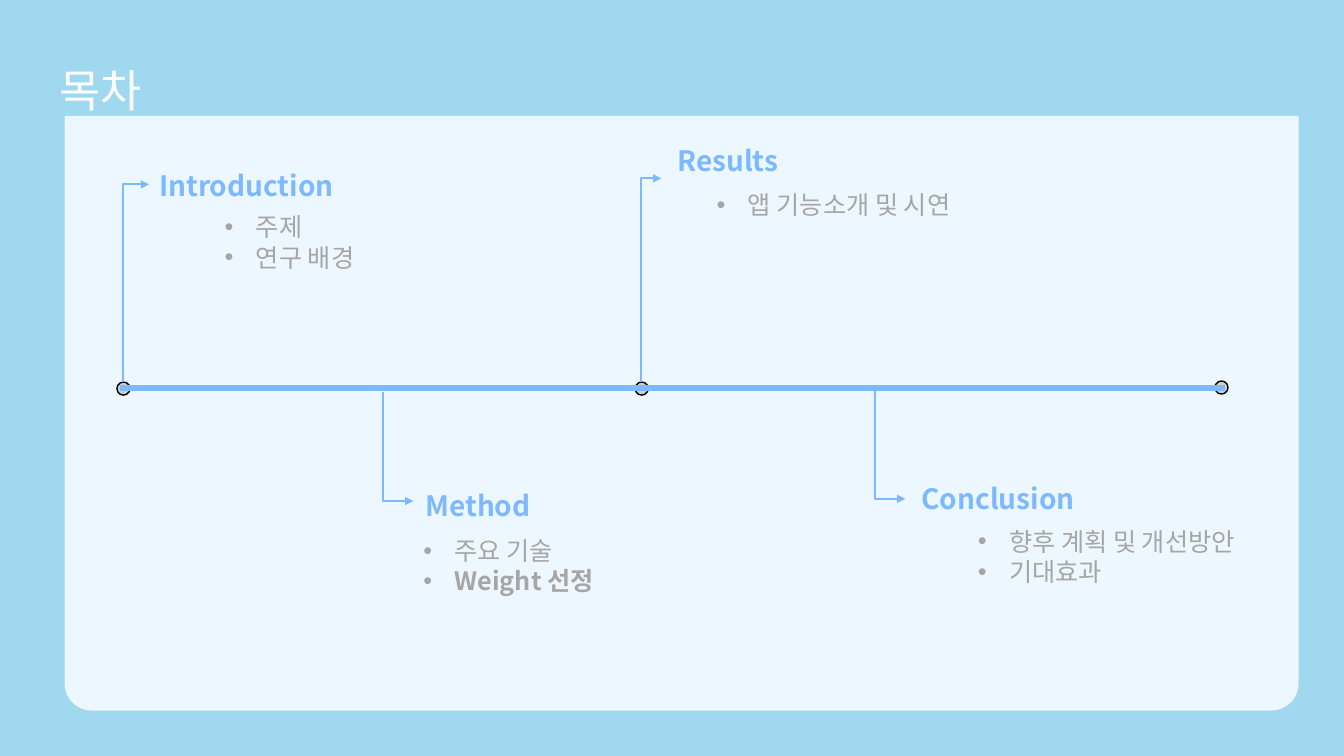
import pptx
import pptx.dml.color
import pptx.enum.shapes
import pptx.enum.text
import pptx.oxml.ns
import pptx.util
from lxml import etree
from pptx.util import Inches

FONT = "Noto Sans CJK KR"
SKY, PANEL, BLUE = "A0D8EF", "ECF7FF", "7DB9FF"
GREY, DOT, WHITE, BLACK = "A6A6A6", "D0CECE", "FFFFFF", "000000"
SHAPE = pptx.enum.shapes.MSO_SHAPE
CONNECTOR = pptx.enum.shapes.MSO_CONNECTOR

# heading, heading box (left, top, width), bullets as (text, bold),
# bullet box (left, top, width, height), bullet level
SECTIONS = [
    ("Introduction", (1.48, 1.62, 3.3),
     [("주제", False), ("연구 배경", False)], (1.63, 2.05, 3.3, 0.71), 1),
    ("Method", (4.12, 4.8, 2.96),
     [("주요 기술", False), ("Weight 선정", True)], (4.1, 5.26, 3.59, 1.31), 0),
    ("Results", (6.62, 1.37, 3.3),
     [("앱 기능소개 및 시연", False)], (6.51, 1.83, 3.3, 0.4), 1),
    ("Conclusion", (9.04, 4.73, 3.53),
     [("향후 계획 및 개선방안", False), ("기대효과", False)],
     (9.1, 5.17, 3.59, 1.01), 1),
]
MILESTONES = [(1.16, 3.79), (6.3, 3.79), (12.05, 3.78)]
BRANCHES = [
    ((1.22, 3.79), (1.48, 1.83)),
    ((3.8, 3.89), (4.1, 4.97)),
    ((6.36, 3.79), (6.56, 1.77)),
    ((8.68, 3.85), (8.98, 4.95)),
]


def rgb(colour):
    return pptx.dml.color.RGBColor.from_string(colour)


def add_child(parent, tag, **attributes):
    return etree.SubElement(parent, pptx.oxml.ns.qn(tag), attributes)


def add_panel_shape(slide, preset, left, top, width, height, fill, outline=None):
    shape = slide.shapes.add_shape(
        preset, Inches(left), Inches(top), Inches(width), Inches(height))
    shape.shadow.inherit = False
    shape.fill.solid()
    shape.fill.fore_color.rgb = rgb(fill)
    if outline:
        shape.line.color.rgb = rgb(outline)
        shape.line.width = pptx.util.Pt(1)
    else:
        shape.line.fill.background()
    return shape


def add_text_frame(slide, left, top, width, height):
    box = slide.shapes.add_textbox(
        Inches(left), Inches(top), Inches(width), Inches(height))
    box.text_frame.word_wrap = True
    box.text_frame.auto_size = pptx.enum.text.MSO_AUTO_SIZE.SHAPE_TO_FIT_TEXT
    return box.text_frame


def add_run(paragraph, text, size, colour, bold=False):
    run = paragraph.add_run()
    run.text = text
    run.font.name = FONT
    run.font.size = pptx.util.Pt(size)
    run.font.bold = bold
    run.font.color.rgb = rgb(colour)
    add_child(run.font._element, "a:ea", typeface=FONT)


def add_bullets(slide, items, box, level):
    frame = add_text_frame(slide, *box)
    for index, (text, bold) in enumerate(items):
        paragraph = frame.add_paragraph() if index else frame.paragraphs[0]
        paragraph.level = level
        properties = paragraph._p.get_or_add_pPr()
        properties.set("marL", str(Inches(0.31 + 0.5 * level)))
        properties.set("indent", str(Inches(-0.31)))
        add_child(properties, "a:buFont", typeface="Arial")
        add_child(properties, "a:buChar", char="•")
        add_run(paragraph, text, 18, GREY, bold)


def add_section(slide, heading, heading_box, items, bullet_box, level):
    frame = add_text_frame(slide, *heading_box, 0.44)
    add_run(frame.paragraphs[0], heading, 20, BLUE, True)
    add_bullets(slide, items, bullet_box, level)


def add_line(slide, kind, start, end, width):
    points = [Inches(value) for value in (*start, *end)]
    line = slide.shapes.add_connector(kind, *points)
    line.line.color.rgb = rgb(BLUE)
    line.line.width = pptx.util.Pt(width)
    add_child(line._element.spPr, "a:effectLst")
    return line


def add_branch(slide, start, end):
    """Draw a one-bend arrow that leaves vertically and ends to the right."""
    (x1, y1), (x2, y2) = start, end
    upward = y2 < y1
    # The bend preset starts horizontally, so it is laid out on its side and turned.
    half_width, half_height = abs(y2 - y1) / 2, (x2 - x1) / 2
    centre_x, centre_y = (x1 + x2) / 2, (y1 + y2) / 2
    rise = half_height if upward else -half_height
    branch = add_line(slide, CONNECTOR.ELBOW,
                      (centre_x + half_width, centre_y + rise),
                      (centre_x - half_width, centre_y - rise), 1.5)
    properties = branch._element.spPr
    properties.xfrm.set("rot", str((90 if upward else 270) * 60000))
    properties.find(pptx.oxml.ns.qn("a:prstGeom")).set("prst", "bentConnector2")
    add_child(branch.line._get_or_add_ln(), "a:tailEnd", type="triangle")


def main():
    deck = pptx.Presentation()
    deck.slide_width, deck.slide_height = Inches(13.33), Inches(7.5)
    slide = deck.slides.add_slide(deck.slide_layouts[6])
    slide.background.fill.solid()
    slide.background.fill.fore_color.rgb = rgb(SKY)

    title = add_text_frame(slide, 0.49, 0.31, 1.34, 0.84).paragraphs[0]
    title.line_spacing = 1.5
    add_run(title, "목차", 32, WHITE)

    panel = add_panel_shape(
        slide, SHAPE.ROUND_2_SAME_RECTANGLE, 0.64, 1.15, 12.24, 5.9, PANEL)
    panel.adjustments[0] = 0
    panel.adjustments[1] = 0.046

    for left, top in MILESTONES:
        add_panel_shape(slide, SHAPE.OVAL, left, top, 0.13, 0.13, DOT, BLACK)
    add_line(slide, CONNECTOR.STRAIGHT, (1.19, 3.85), (12.15, 3.85), 4.5)
    for start, end in BRANCHES:
        add_branch(slide, start, end)
    for section in SECTIONS:
        add_section(slide, *section)

    deck.save("out.pptx")


if __name__ == "__main__":
    main()
